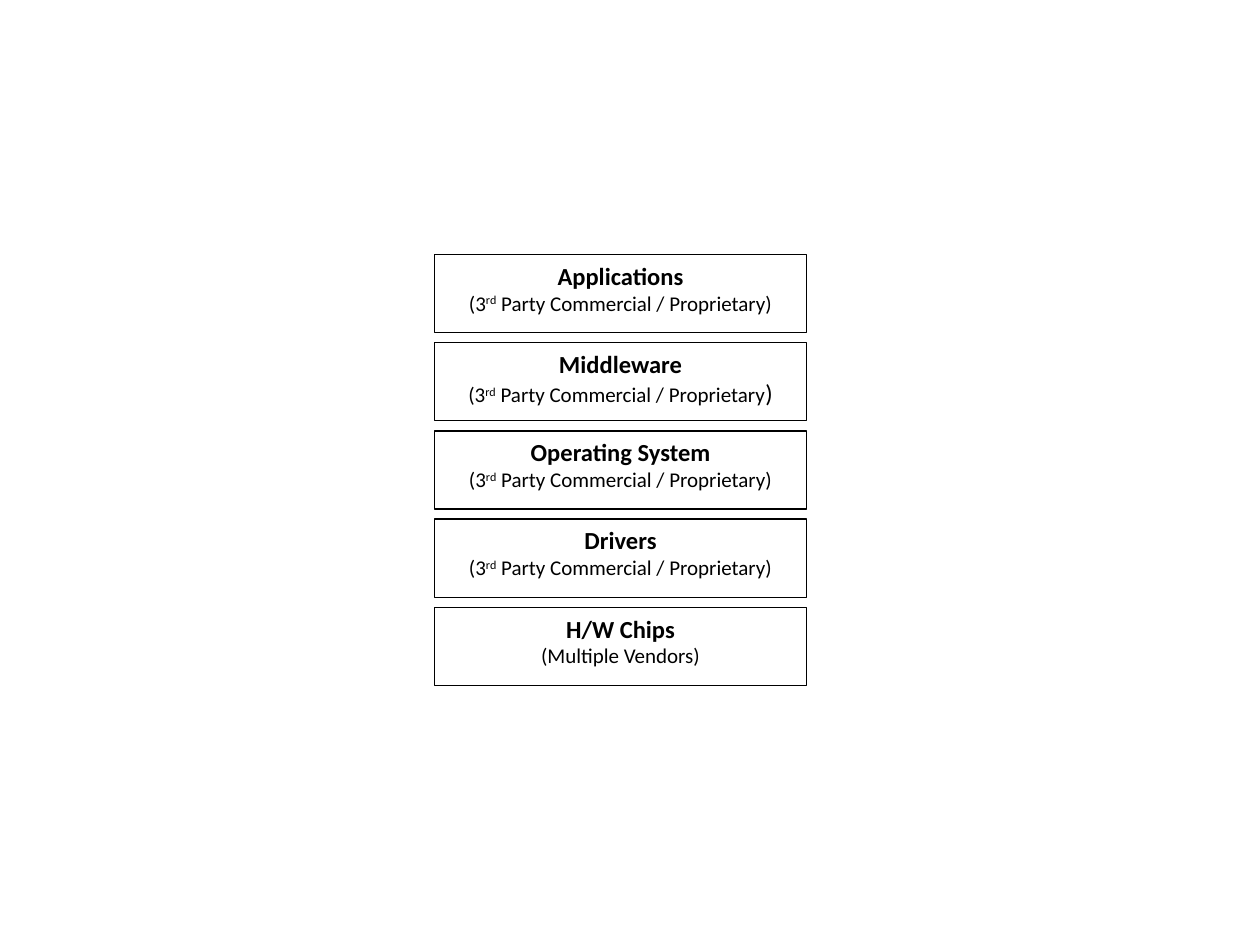
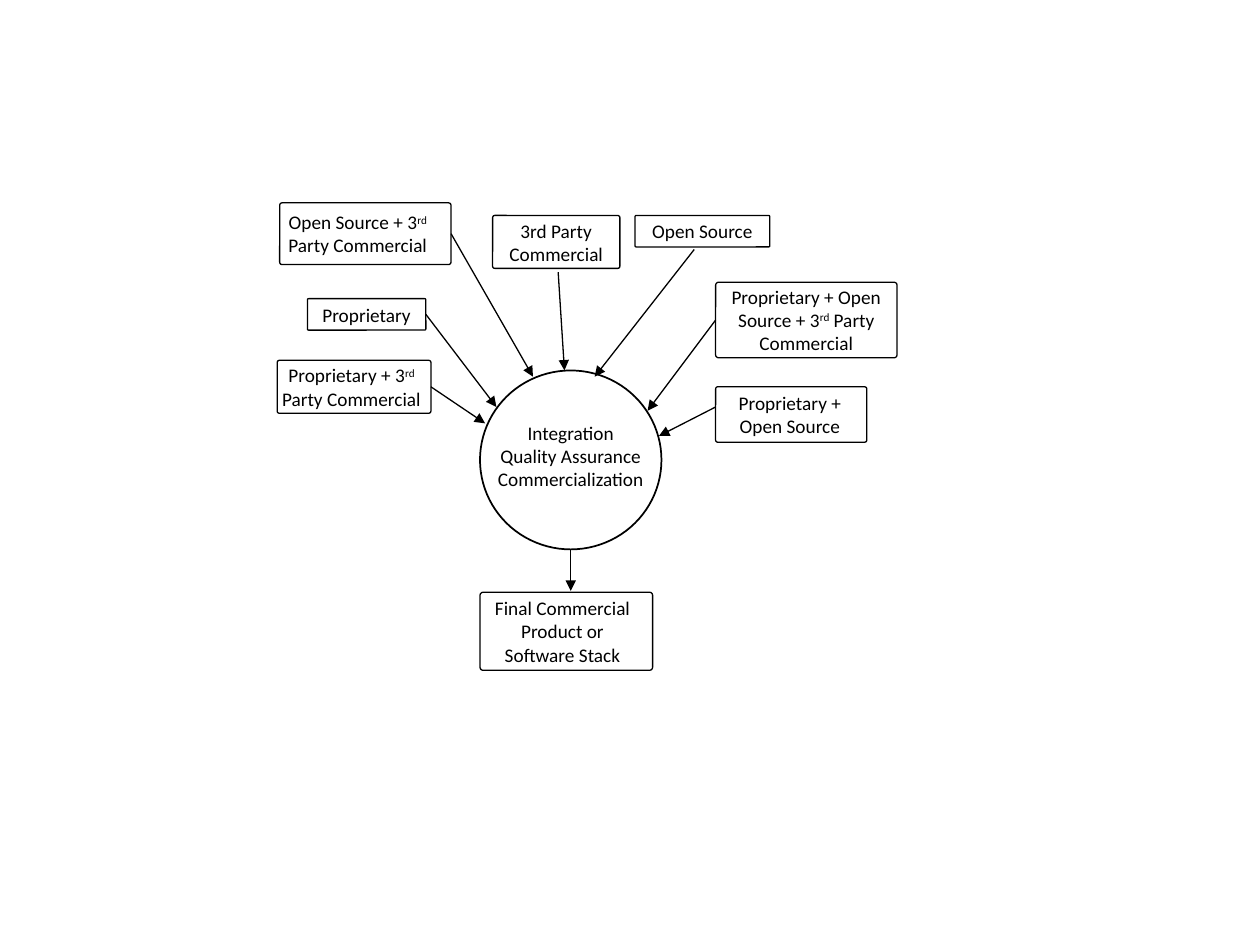
from pptx import Presentation
from pptx.dml.color import RGBColor
from pptx.enum.shapes import MSO_CONNECTOR, MSO_SHAPE
from pptx.enum.text import MSO_ANCHOR, PP_ALIGN
from pptx.oxml.ns import qn
from pptx.util import Inches, Pt
from lxml.etree import SubElement

# Content: ^ marks the start and end of superscript text
THIRD_PARTY = "(3^rd^ Party Commercial / Proprietary"
LAYERS = [  # name, note, closing bracket size
    ("Applications", THIRD_PARTY, 12),
    ("Middleware", THIRD_PARTY, 14),
    ("Operating System", THIRD_PARTY, 12),
    ("Drivers", THIRD_PARTY, 12),
    ("H/W Chips", "(Multiple Vendors", 12),
]
BOXES = {  # lines, (left, top, width, height), sideways text shift
    "proprietary": (["Proprietary"], (2.44, 2.37, 0.94, 0.25), 0),
    "third": (["3rd Party", "Commercial"], (3.91, 1.71, 1.01, 0.42), 0),
    "prop_open": (["Proprietary +", "Open Source"], (5.68, 3.07, 1.2, 0.44), -0.01),
    "prop_third": (["Proprietary + 3^rd^", "Party Commercial"],
                   (2.2, 2.86, 1.22, 0.42), -0.02),
    "all": (["Proprietary + Open", "Source + 3^rd^ Party", "Commercial"],
            (5.68, 2.24, 1.44, 0.6), 0),
    "product": (["Final Commercial", "Product or", "Software Stack"],
                (3.81, 4.7, 1.37, 0.62), -0.03),
    "open": (["Open Source"], (5.04, 1.71, 1.07, 0.25), 0),
    "open_third": (["Open Source + 3^rd^", "Party Commercial"],
                   (2.22, 1.61, 1.36, 0.49), -0.06),
}
HUB_LINES = ["Integration", "Quality Assurance", "Commercialization"]
HUB = (3.81, 2.94, 1.44, 1.42)
LEFT, RIGHT, HUB_BOTTOM = 1, 3, 4
ARROWS = [  # start, end, joined shape, joined side
    ((3.42, 3.07), (3.85, 3.36), "prop_third", RIGHT),
    ((3.38, 2.5), (3.94, 3.23), "proprietary", RIGHT),
    ((5.68, 3.23), (5.23, 3.46), None, None),
    ((5.68, 2.54), (5.14, 3.26), "all", LEFT),
    ((4.43, 2.16), (4.48, 2.94), None, None),
    ((4.53, 4.36), (4.53, 4.69), "hub", HUB_BOTTOM),
    ((5.51, 1.98), (4.72, 2.99), None, None),
    ((3.58, 1.85), (4.23, 2.99), "open_third", RIGHT),
]

# Shared style
BLACK = RGBColor(0, 0, 0)
FONT = "Calibri"
INSET = 0.05
LAYER_LEFT, LAYER_TOP, LAYER_W, LAYER_H, LAYER_STEP = 3.45, 2.02, 2.95, 0.62, 0.7


def add_box(slide, kind, at, line_width=0.75, anchor=MSO_ANCHOR.MIDDLE, dx=0, dy=0):
    """Outlined shape; dx and dy shift its text by uneven insets."""
    sp = slide.shapes.add_shape(kind, *(Inches(v) for v in at))
    sp.shadow.inherit = False
    sp.fill.background()
    sp.line.color.rgb = BLACK
    sp.line.width = Pt(line_width)
    tf = sp.text_frame
    tf.word_wrap = False
    tf.vertical_anchor = anchor
    tf.margin_left = tf.margin_top = Inches(INSET)
    tf.margin_right = Inches(INSET - 2 * dx)
    tf.margin_bottom = Inches(INSET - 2 * dy)
    return sp


def write_lines(tf, lines, size, bold=False):
    for i, line in enumerate(lines):
        p = tf.paragraphs[0] if i == 0 else tf.add_paragraph()
        p.alignment = PP_ALIGN.CENTER
        p.font.name, p.font.size, p.font.bold = FONT, Pt(size), bold
        p.font.color.rgb = BLACK
        for j, part in enumerate(line.split("^")):
            if part:
                add_run(p, part, superscript=j % 2 == 1)


def add_run(p, text, superscript=False):
    r = p.add_run()
    r.text = text
    if superscript:
        r._r.get_or_add_rPr().set("baseline", "30000")
    return r


def add_arrow(slide, start, end):
    c = slide.shapes.add_connector(MSO_CONNECTOR.STRAIGHT,
                                   *(Inches(v) for v in start + end))
    c.line.color.rgb = BLACK
    c.line.width = Pt(0.75)
    SubElement(c.line._get_or_add_ln(), qn("a:tailEnd"), type="triangle")
    SubElement(c._element.spPr, qn("a:effectLst"))
    return c


def build_stack(slide):
    for i, (name, note, bracket_size) in enumerate(LAYERS):
        at = (LAYER_LEFT, LAYER_TOP + i * LAYER_STEP, LAYER_W, LAYER_H)
        tf = add_box(slide, MSO_SHAPE.RECTANGLE, at, anchor=MSO_ANCHOR.TOP).text_frame
        write_lines(tf, [name, note], 12)
        title, detail = tf.paragraphs
        title.font.size, title.font.bold = Pt(14), True
        bracket = add_run(detail, ")")
        if bracket_size != 12:
            bracket.font.size = Pt(bracket_size)


def build_flow(slide):
    # Hub and boxes
    shapes = {"hub": add_box(slide, MSO_SHAPE.OVAL, HUB, line_width=1, dy=-0.03)}
    write_lines(shapes["hub"].text_frame, HUB_LINES, 11)
    for key, (lines, at, dx) in BOXES.items():
        sp = shapes[key] = add_box(slide, MSO_SHAPE.ROUNDED_RECTANGLE, at, dx=dx)
        sp.adjustments[0] = 0.04
        write_lines(sp.text_frame, lines, 11)
    # Arrows
    for start, end, key, side in ARROWS:
        c = add_arrow(slide, start, end)
        if key == "hub":
            # An oval has eight connection sites, so its bottom is site 4
            cxn = c._element.nvCxnSpPr.cNvCxnSpPr
            SubElement(cxn, qn("a:stCxn"), id=str(shapes[key].shape_id), idx=str(side))
        elif key:
            c.begin_connect(shapes[key], side)


def main():
    prs = Presentation()
    prs.slide_width, prs.slide_height = Inches(10), Inches(7.5)
    for build in (build_stack, build_flow):
        build(prs.slides.add_slide(prs.slide_layouts[6]))
    prs.save("out.pptx")


if __name__ == "__main__":
    main()
